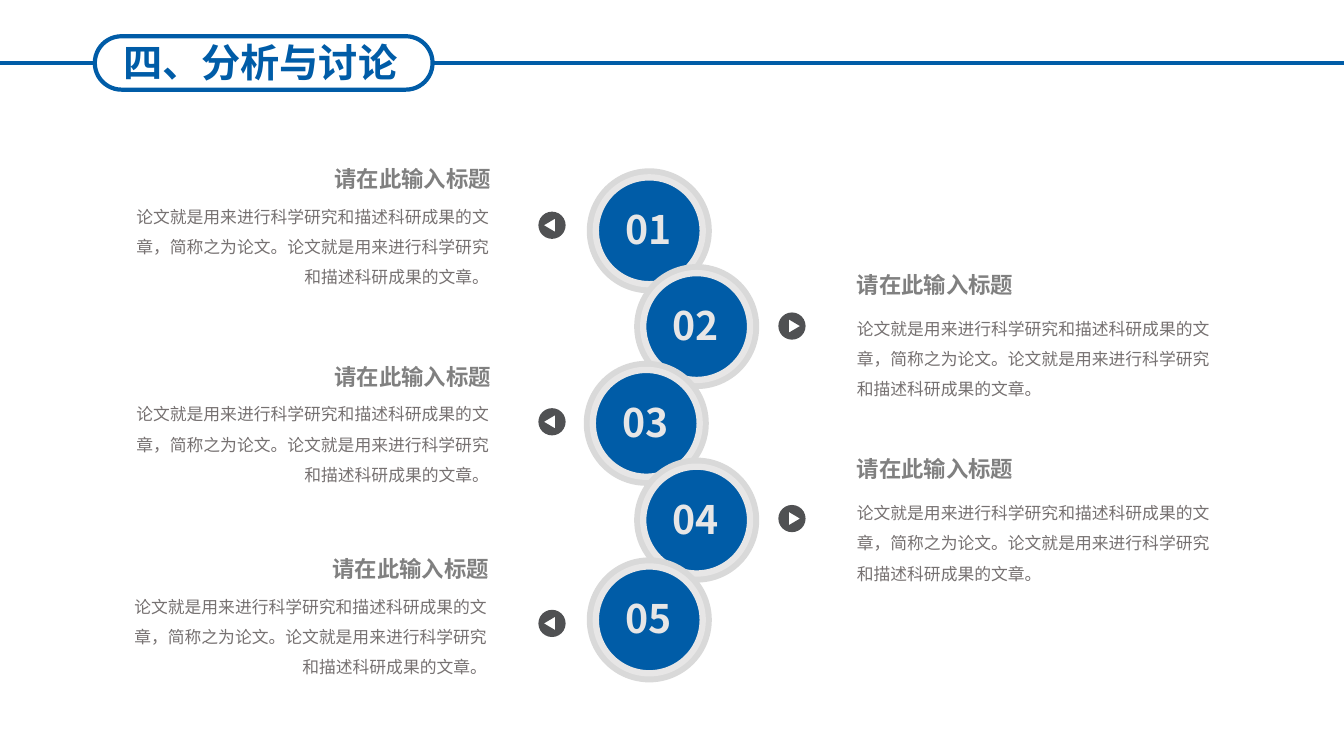
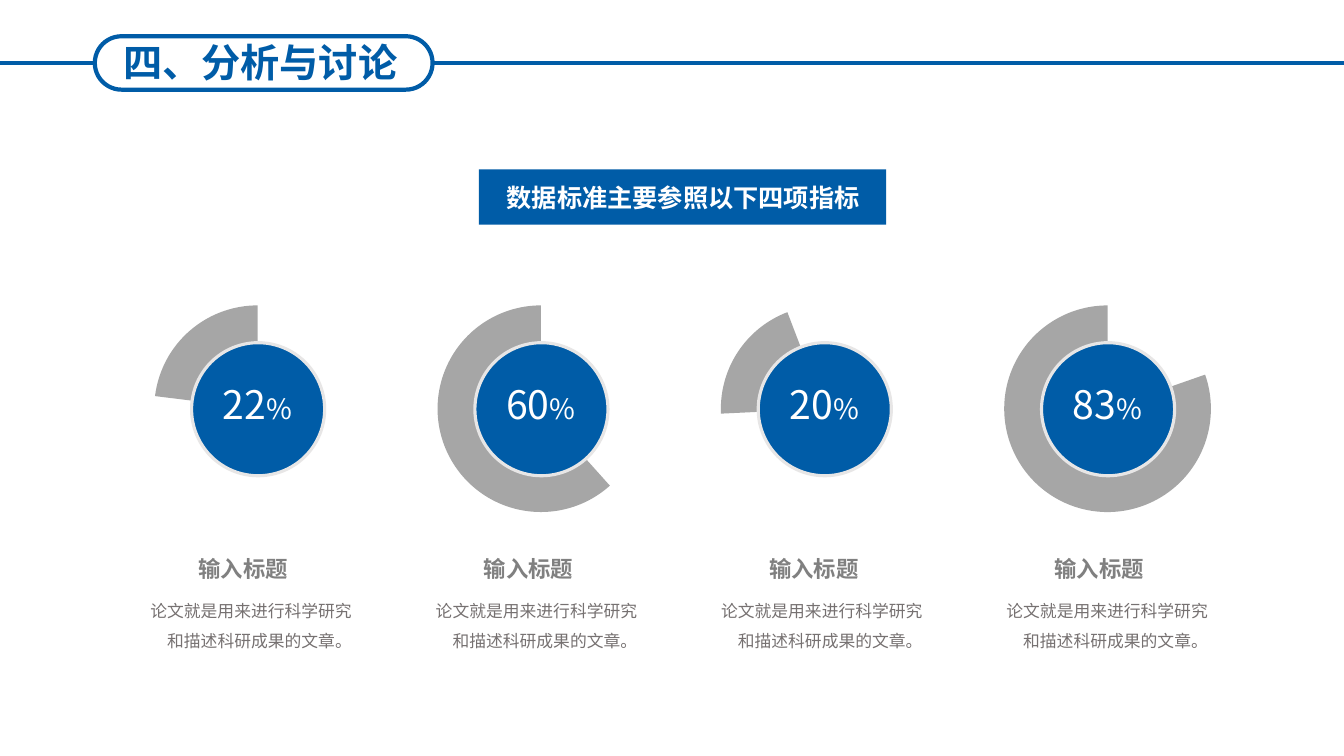
from lxml import etree
from pptx import Presentation
from pptx.dml.color import RGBColor
from pptx.enum import shapes, text
from pptx.oxml import ns
from pptx.util import Inches, Pt

COLORS = {
    "blue": "005CA7",
    "white": "FFFFFF",
    "silver": "E7E6E6",
    "rim": "D9D9D9",
    "arc": "A6A6A6",
    "badge": "505153",
    "heading": "808080",
    "body": "767171",
}
FONT = "Noto Sans CJK SC"
WIDTH, HEIGHT = 13.33, 7.5
ALIGN = text.PP_ALIGN
SHORT_BODY = "论文就是用来进行科学研究和描述科研成果的文章。"
LONG_BODY = "论文就是用来进行科学研究和描述科研成果的文章，简称之为论文。" + SHORT_BODY

STEPS = [
    ("01", (5.82, 1.67), (5.34, 2.1), "left", (1.13, 1.59)),
    ("02", (6.29, 2.62), (7.72, 3.1), "right", (8.4, 2.64)),
    ("03", (5.79, 3.58), (5.34, 4.05), "left", (1.13, 3.55)),
    ("04", (6.29, 4.54), (7.72, 5.01), "right", (8.4, 4.47)),
    ("05", (5.82, 5.53), (5.34, 6.05), "left", (1.11, 5.46)),
]
GAUGES = [("22", 187.01, 270), ("60", 48.14, 270), ("20", 177.26, 249.1), ("83", 340.73, 270)]


def rgb(name):
    """Return the named colour."""
    return RGBColor.from_string(COLORS[name])


def style_shape(shape, fill=None, line=None, line_width=1):
    """Set fill and outline and remove the shadow."""
    shape.shadow.inherit = False
    if fill:
        shape.fill.solid()
        shape.fill.fore_color.rgb = rgb(fill)
    else:
        shape.fill.background()
    if line:
        shape.line.color.rgb = rgb(line)
        shape.line.width = Pt(line_width)
    else:
        shape.line.fill.background()


def add_shape(slide, kind, box, **style):
    """Add a styled preset shape."""
    shape = slide.shapes.add_shape(kind, *map(Inches, box))
    style_shape(shape, **style)
    return shape


def add_text(slide, box, runs, color, bold=False, align=ALIGN.LEFT, spacing=None, wrap=True):
    """Add one paragraph made of (words, size) runs."""
    frame = slide.shapes.add_textbox(*map(Inches, box)).text_frame
    frame.word_wrap = wrap
    frame.auto_size = text.MSO_AUTO_SIZE.SHAPE_TO_FIT_TEXT
    paragraph = frame.paragraphs[0]
    paragraph.alignment = align
    if spacing:
        paragraph.line_spacing = spacing
    for words, size in runs:
        run = paragraph.add_run()
        run.text = words
        run.font.size = Pt(size)
        run.font.bold = bold
        run.font.color.rgb = rgb(color)
        run.font.name = FONT
        east_asian = etree.SubElement(run.font._element, ns.qn("a:ea"))
        east_asian.set("typeface", FONT)


def add_rule(slide, start, end, pill, site):
    """Draw a header line that ends at one side of the title pill."""
    middle = pill.top + pill.height // 2
    rule = slide.shapes.add_connector(
        shapes.MSO_CONNECTOR.STRAIGHT, Inches(start), middle, Inches(end), middle)
    rule.line.color.rgb = rgb("blue")
    rule.line.width = Pt(3)
    etree.SubElement(rule._element.spPr, ns.qn("a:effectLst"))
    if site == 1:
        rule.end_connect(pill, site)
    else:
        rule.begin_connect(pill, site)


def add_header(slide):
    """Add the title pill and the lines on both sides of it."""
    left, top, width, height = 0.94, 0.36, 3.35, 0.53
    pill = add_shape(slide, shapes.MSO_SHAPE.ROUNDED_RECTANGLE, (left, top, width, height),
                     line="blue", line_width=3)
    pill.adjustments[0] = 0.5
    add_rule(slide, left + width, WIDTH, pill, 3)
    add_rule(slide, 0, left, pill, 1)
    add_text(slide, (left - 0.05, top - 0.03, 3.38, 0.57), [("四、分析与讨论", 28)],
             "blue", bold=True, align=ALIGN.CENTER)


def add_badge(slide, left, top, side):
    """Add a round badge with a triangular hole that points to one side."""
    radius = 0.135
    sign = -1 if side == "left" else 1

    def point(x, y):
        return Inches(left + radius + sign * x), Inches(top + radius + y)

    compass = [point(0, radius), point(-radius, 0), point(0, -radius), point(radius, 0)]
    builder = slide.shapes.build_freeform(*compass[-1], scale=1.0)
    builder.add_line_segments(compass, close=True)
    builder.move_to(*point(0.08, 0))
    builder.add_line_segments([point(-0.03, -0.065), point(-0.03, 0.065)], close=True)
    badge = builder.convert_to_shape()
    style_shape(badge, fill="badge")
    sides = list(badge._element.iter(ns.qn("a:lnTo")))[:4]
    for index, segment in enumerate(sides):
        arc = etree.Element(ns.qn("a:arcTo"))
        arc.set("wR", str(Inches(radius)))
        arc.set("hR", str(Inches(radius)))
        start = 90 * index if sign > 0 else (180 - 90 * index) % 360
        arc.set("stAng", str(start * 60000))
        arc.set("swAng", str(sign * 90 * 60000))
        segment.getparent().replace(segment, arc)


def add_disc(slide, left, top, number):
    """Add a numbered disc with a grey rim."""
    oval = shapes.MSO_SHAPE.OVAL
    add_shape(slide, oval, (left, top, 1.24, 1.24), fill="rim")
    add_shape(slide, oval, (left + 0.09, top + 0.09, 1.06, 1.06),
              fill="blue", line="silver", line_width=4.5)
    add_text(slide, (left + 0.27, top + 0.32, 0.68, 0.57), [(number, 28)],
             "silver", bold=True, align=ALIGN.CENTER)


def add_caption(slide, body_box, heading_box, body, heading, align):
    """Add a body paragraph and its heading."""
    add_text(slide, body_box, [(body, 12)], "body", align=align, spacing=1.5)
    add_text(slide, heading_box, [(heading, 16)], "heading", bold=True, wrap=False)


def add_step_caption(slide, left, top, side):
    """Add the text block of a step on its side of the discs."""
    on_left = side == "left"
    heading_left = left + 2.09 if on_left else left
    body_top = top + (0.31 if on_left else 0.37)
    add_caption(slide, (left, body_top, 3.82, 1.01), (heading_left, top, 1.77, 0.37),
                LONG_BODY, "请在此输入标题", ALIGN.RIGHT if on_left else ALIGN.LEFT)


def add_gauge(slide, left, top, value, start, end):
    """Add a pie arc behind a disc with a percentage."""
    pie = add_shape(slide, shapes.MSO_SHAPE.PIE, (left, top, 2.05, 2.05), fill="arc")
    for index, degrees in enumerate((start, end)):
        pie.adjustments[index] = degrees * 0.6
    add_shape(slide, shapes.MSO_SHAPE.OVAL, (left + 0.37, top + 0.37, 1.32, 1.32),
              fill="blue", line="silver", line_width=2.25)
    add_text(slide, (left + 0.57, top + 0.69, 0.91, 0.57), [(value, 28), ("%", 20)],
             "white", align=ALIGN.CENTER, wrap=False)


def add_banner(slide, left, top):
    """Add the blue banner with its statement."""
    add_shape(slide, shapes.MSO_SHAPE.RECTANGLE, (left, top, 4.04, 0.55), fill="blue")
    add_text(slide, (left + 0.05, top + 0.08, 3.95, 0.4),
             [("数据标准主要参照以下四项指标", 18)], "white", bold=True, align=ALIGN.CENTER)


def build_steps(slide):
    """Build the slide with five numbered steps."""
    for number, disc, badge, side, caption in STEPS:
        add_badge(slide, *badge, side)
        add_disc(slide, *disc, number)
        add_step_caption(slide, *caption, side)


def build_gauges(slide):
    """Build the slide with four percentages."""
    add_banner(slide, 4.75, 1.68)
    for index, (value, start, end) in enumerate(GAUGES):
        add_gauge(slide, 1.53 + 2.81 * index, 3.03, value, start, end)
        left = 1.26 + 2.83 * index
        add_caption(slide, (left, 5.81, 2.33, 0.71), (left + 0.61, 5.46, 1.1, 0.37),
                    SHORT_BODY, "输入标题", ALIGN.RIGHT)


def main():
    """Build and save the presentation."""
    presentation = Presentation()
    presentation.slide_width = Inches(WIDTH)
    presentation.slide_height = Inches(HEIGHT)
    for build in (build_steps, build_gauges):
        slide = presentation.slides.add_slide(presentation.slide_layouts[6])
        build(slide)
        add_header(slide)
    presentation.save("out.pptx")


if __name__ == "__main__":
    main()
